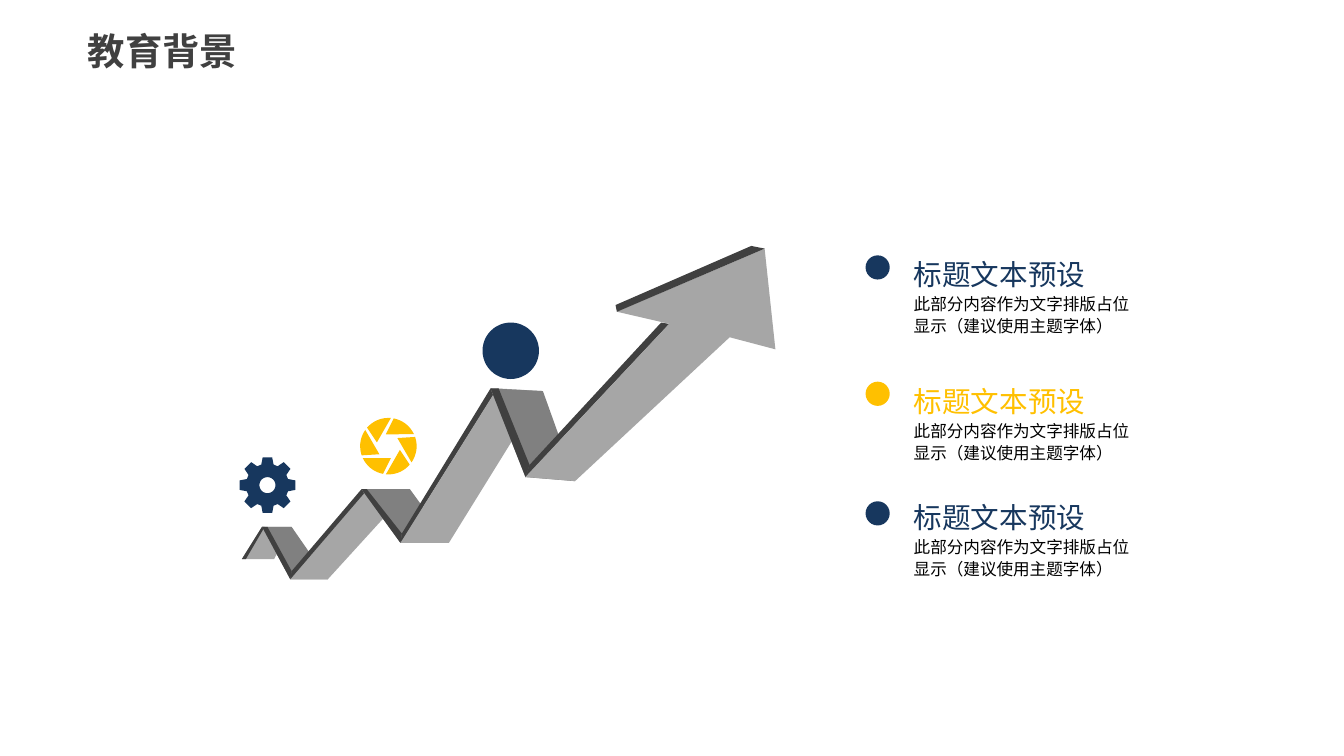
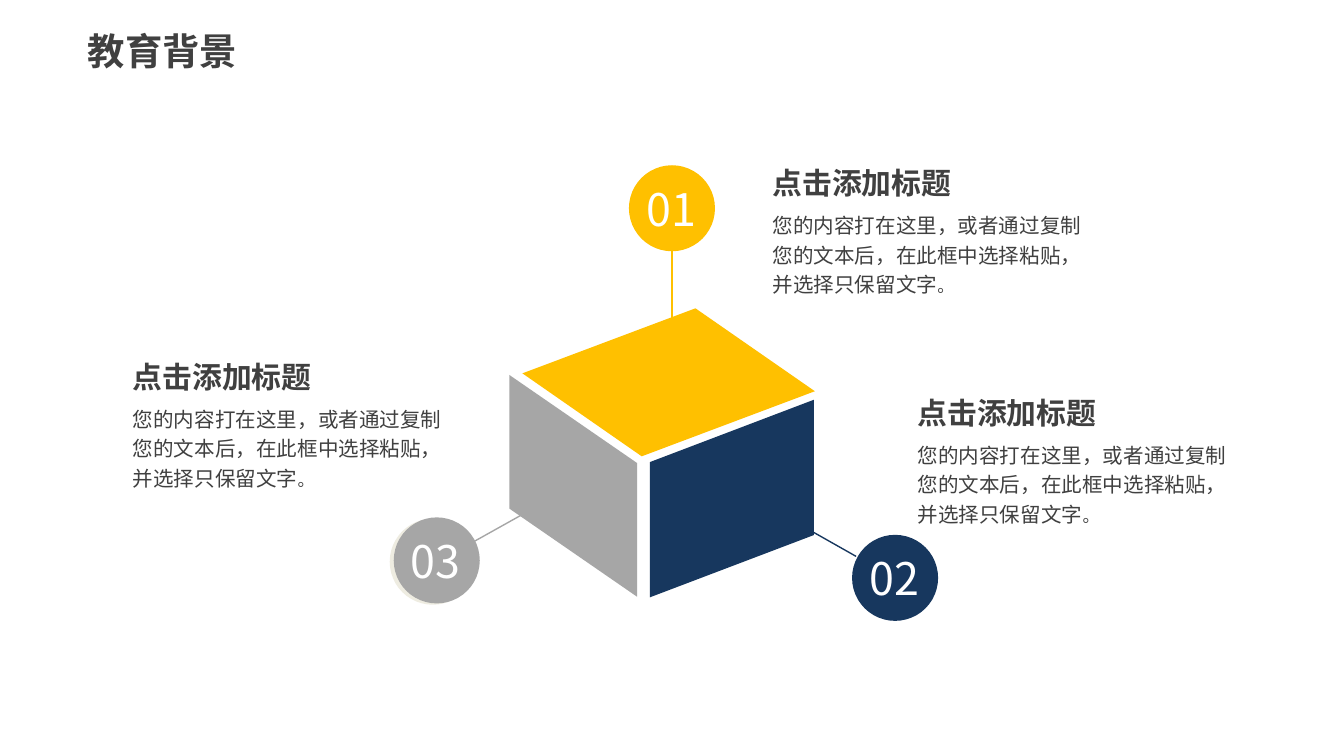
from math import cos, pi, radians, sin

from lxml.etree import SubElement
from pptx import Presentation
from pptx.dml.color import RGBColor
from pptx.enum.shapes import MSO_CONNECTOR, MSO_SHAPE
from pptx.enum.text import MSO_ANCHOR as Anchor, MSO_AUTO_SIZE as AutoSize, PP_ALIGN as Align
from pptx.oxml.ns import qn
from pptx.util import Inches, Pt

FONT = "Noto Sans CJK SC"
COLORS = {
    "navy": "17375E",
    "gold": "FFC000",
    "light": "A6A6A6",
    "middle": "808080",
    "dark": "404040",
    "cream": "EEECE1",
    "black": "000000",
    "white": "FFFFFF",
}

RIBBON = [
    ("light", [(2.17, 3.92), (1.95, 3.92), (1.8, 4.16), (2.04, 4.16)]),
    ("dark", [(1.83, 4.16), (1.97, 3.92), (1.95, 3.92), (1.8, 4.16)]),
    ("middle", [(1.95, 3.92), (2.17, 3.92), (2.44, 4.31), (2.16, 4.31)]),
    ("dark", [(1.95, 3.92), (2.16, 4.31), (2.17, 4.25), (1.99, 3.92)]),
    ("light", [(2.16, 4.31), (2.73, 3.64), (3.05, 3.64), (2.44, 4.31)]),
    ("dark", [(2.16, 4.31), (2.17, 4.25), (2.69, 3.64), (2.71, 3.67)]),
    ("middle", [(2.69, 3.64), (2.98, 4.04), (3.34, 4.04), (3.05, 3.64)]),
    ("dark", [(2.98, 4.04), (2.99, 3.97), (3.65, 2.89), (3.67, 2.94)]),
    ("dark", [(2.69, 3.64), (2.98, 4.04), (2.99, 3.97), (2.73, 3.64)]),
    ("light", [(2.98, 4.04), (3.7, 2.89), (4.04, 2.91), (3.34, 4.04)]),
    ("middle", [(3.65, 2.89), (3.91, 3.55), (4.28, 3.58), (4.04, 2.91)]),
    ("dark", [(3.65, 2.89), (3.71, 2.89), (3.94, 3.46), (3.91, 3.55)]),
    ("dark", [(3.91, 3.55), (3.94, 3.46), (4.92, 2.4), (4.98, 2.41)]),
    ("light", [(3.91, 3.55), (4.28, 3.58), (5.43, 2.51), (5.77, 2.6),
               (5.69, 1.85), (4.59, 2.32), (4.98, 2.41)]),
    ("dark", [(4.59, 2.32), (4.58, 2.27), (5.59, 1.83), (5.69, 1.85)]),
]


def color(name):
    return RGBColor.from_string(COLORS[name])


def polar(center, radius, angle):
    return center[0] + radius * cos(angle), center[1] - radius * sin(angle)


def gear_outlines(center, teeth=8):
    profile = [(-0.29, 0.16), (-0.17, 0.21), (0.17, 0.21), (0.29, 0.16)]
    rim = [polar(center, radius, 2 * pi * tooth / teeth + offset)
           for tooth in range(teeth) for offset, radius in profile]
    hole = [polar(center, 0.06, radians(angle)) for angle in range(360, 0, -15)]
    return [rim, hole]


def aperture_outlines(center, blades=6):
    outlines = []
    for blade in range(blades):
        turn = 360 * blade / blades
        edge = [polar(center, 0.21, radians(turn + angle)) for angle in range(85, 140, 6)]
        outlines.append(edge + [polar(center, 0.09, radians(turn + 162))])
    return outlines


class Deck:
    def __init__(self):
        self.presentation = Presentation()
        self.presentation.slide_width = Inches(10)
        self.presentation.slide_height = Inches(10 * 9 / 16)
        self.slide = None

    def add_slide(self, title):
        self.slide = self.presentation.slides.add_slide(self.presentation.slide_layouts[5])
        shape = self.slide.shapes.title
        shape.left, shape.top = Inches(-0.2), Inches(0.14)
        shape.width, shape.height = Inches(2.82), Inches(0.47)
        frame = shape.text_frame
        frame.text = title
        frame.word_wrap = False
        frame.auto_size = AutoSize.NONE
        frame.vertical_anchor = Anchor.MIDDLE
        frame.margin_left = frame.margin_right = frame.margin_top = frame.margin_bottom = 0
        paragraph = frame.paragraphs[0]
        paragraph.alignment = Align.CENTER
        self.style(paragraph, 20, "dark", True)

    def style(self, paragraph, size, fill, bold=False):
        font = paragraph.font
        font.size = Pt(size)
        font.bold = bold
        font.color.rgb = color(fill)
        font.name = FONT
        SubElement(paragraph._p.pPr.find(qn("a:defRPr")), qn("a:ea")).set("typeface", FONT)

    def text(self, left, top, width, height, runs, size, fill,
             bold=False, spacing=None, wrap=True, grow=False):
        box = self.slide.shapes.add_textbox(
            Inches(left), Inches(top), Inches(width), Inches(height))
        frame = box.text_frame
        frame.word_wrap = wrap
        frame.auto_size = AutoSize.SHAPE_TO_FIT_TEXT if grow else AutoSize.NONE
        paragraph = frame.paragraphs[0]
        for words, run_size in runs:
            run = paragraph.add_run()
            run.text = words
            if run_size:
                run.font.size = Pt(run_size)
        if spacing:
            paragraph.line_spacing = spacing
        self.style(paragraph, size, fill, bold)

    def paint(self, shape, fill):
        shape.shadow.inherit = False
        shape.fill.solid()
        shape.fill.fore_color.rgb = color(fill)
        shape.line.fill.background()

    def circle(self, left, top, diameter, fill):
        shape = self.slide.shapes.add_shape(
            MSO_SHAPE.OVAL, Inches(left), Inches(top), Inches(diameter), Inches(diameter))
        self.paint(shape, fill)

    def parallelogram(self, left, top, width, height, fill, slant, rotation, flip=None):
        shape = self.slide.shapes.add_shape(
            MSO_SHAPE.PARALLELOGRAM, Inches(left), Inches(top), Inches(width), Inches(height))
        shape.adjustments[0] = slant
        shape.rotation = rotation
        if flip:
            shape._element.spPr.xfrm.set(flip, "1")
        self.paint(shape, fill)

    def freeform(self, outlines, fill):
        builder = None
        for outline in outlines:
            points = [(Inches(x), Inches(y)) for x, y in outline]
            if builder is None:
                builder = self.slide.shapes.build_freeform(*points[0])
            else:
                builder.move_to(*points[0])
            builder.add_line_segments(points[1:], close=True)
        self.paint(builder.convert_to_shape(), fill)

    def line(self, start, end, fill):
        connector = self.slide.shapes.add_connector(
            MSO_CONNECTOR.STRAIGHT, *[Inches(value) for value in start + end])
        connector.line.color.rgb = color(fill)
        connector.line.width = Pt(0.75)
        SubElement(connector._element.spPr, qn("a:effectLst"))

    def legend_entry(self, dot_top, heading_top, fill):
        self.circle(6.44, dot_top, 0.18, fill)
        self.text(6.7, heading_top, 1.29, 0.3, [("标题文本预设", None)], 15.3, fill, wrap=False)
        self.text(6.7, heading_top + 0.26, 1.82, 0.48,
                  [("此部分内容作为文字排版占位显示（建议使用主题字体）", None)],
                  8.9, "black", spacing=1.1)

    def number_badge(self, left, top, number, fill):
        self.circle(left, top, 0.64, fill)
        self.text(left + 0.03, top + 0.07, 0.57, 0.5, [(number, None)], 24, "white", grow=True)

    def caption(self, left, top):
        self.text(left, top + 0.32, 2.61, 0.77,
                  [("您的内容打在这里，或者通过复制您的文本后，在此框中选择粘贴，并选择只保留文字", None),
                   ("。", 9)], 11, "dark", spacing=1.2, grow=True)
        self.text(left, top, 1.78, 0.37, [("点击添加标题", None)], 16, "dark", bold=True, grow=True)


def build_arrow_slide(deck):
    deck.add_slide("教育背景")
    for fill, outline in RIBBON:
        deck.freeform([outline], fill)
    deck.circle(3.59, 2.4, 0.42, "navy")
    deck.freeform(gear_outlines((1.99, 3.61)), "navy")
    deck.freeform(aperture_outlines((2.89, 3.32)), "gold")
    for dot_top, heading_top, fill in [
            (1.9, 1.86, "navy"), (2.84, 2.81, "gold"), (3.73, 3.67, "navy")]:
        deck.legend_entry(dot_top, heading_top, fill)


def build_cube_slide(deck):
    deck.add_slide("教育背景")
    deck.parallelogram(3.98, 2.4, 1.99, 0.89, "gold", 0.69, 339.4, "flipV")
    deck.parallelogram(3.44, 3.14, 1.65, 0.95, "light", 0.69, 90)
    deck.parallelogram(4.71, 3.1, 1.47, 1.22, "navy", 0.38, 90, "flipH")
    deck.line((5, 2.8), (5, 1.86), "gold")
    deck.line((5.45, 3.62), (6.37, 4.14), "navy")
    deck.line((4.26, 3.62), (3.49, 4.05), "light")
    deck.circle(2.9, 3.86, 0.64, "cream")
    deck.number_badge(4.68, 1.23, "01", "gold")
    deck.number_badge(6.34, 3.98, "02", "navy")
    deck.number_badge(2.93, 3.85, "03", "light")
    for left, top in [(5.65, 1.18), (0.89, 2.62), (6.73, 2.89)]:
        deck.caption(left, top)


def main():
    deck = Deck()
    build_arrow_slide(deck)
    build_cube_slide(deck)
    deck.presentation.save("out.pptx")


if __name__ == "__main__":
    main()
